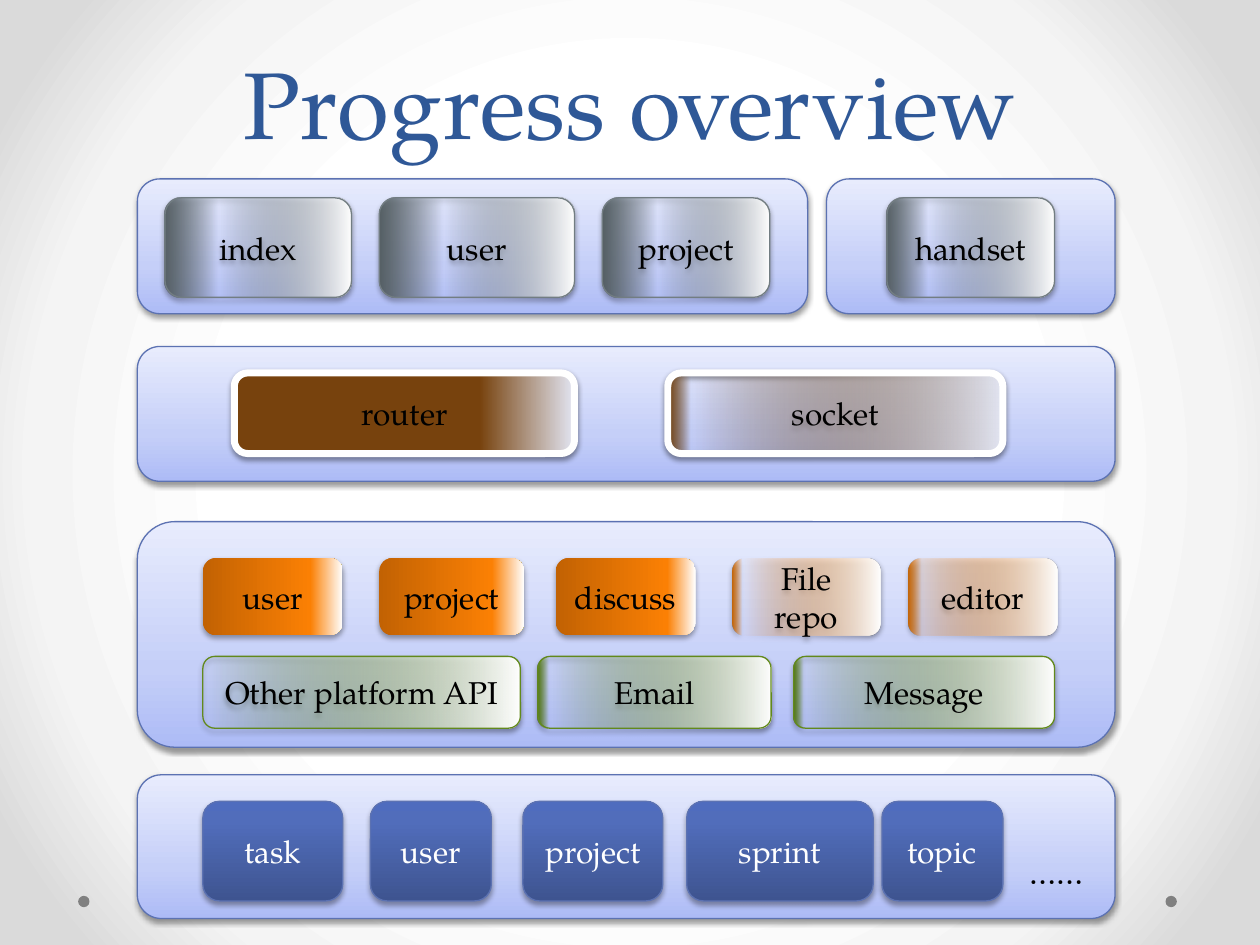
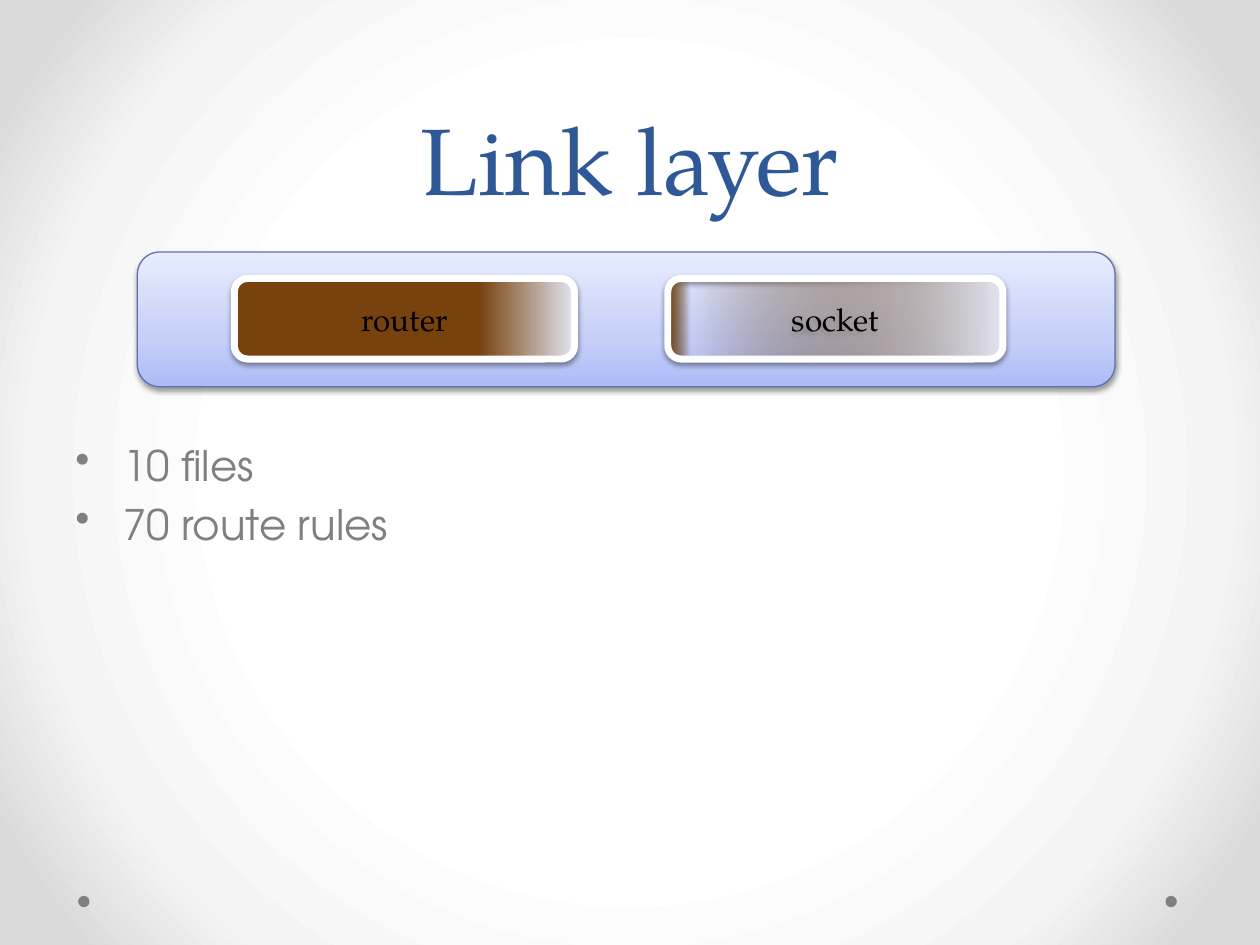
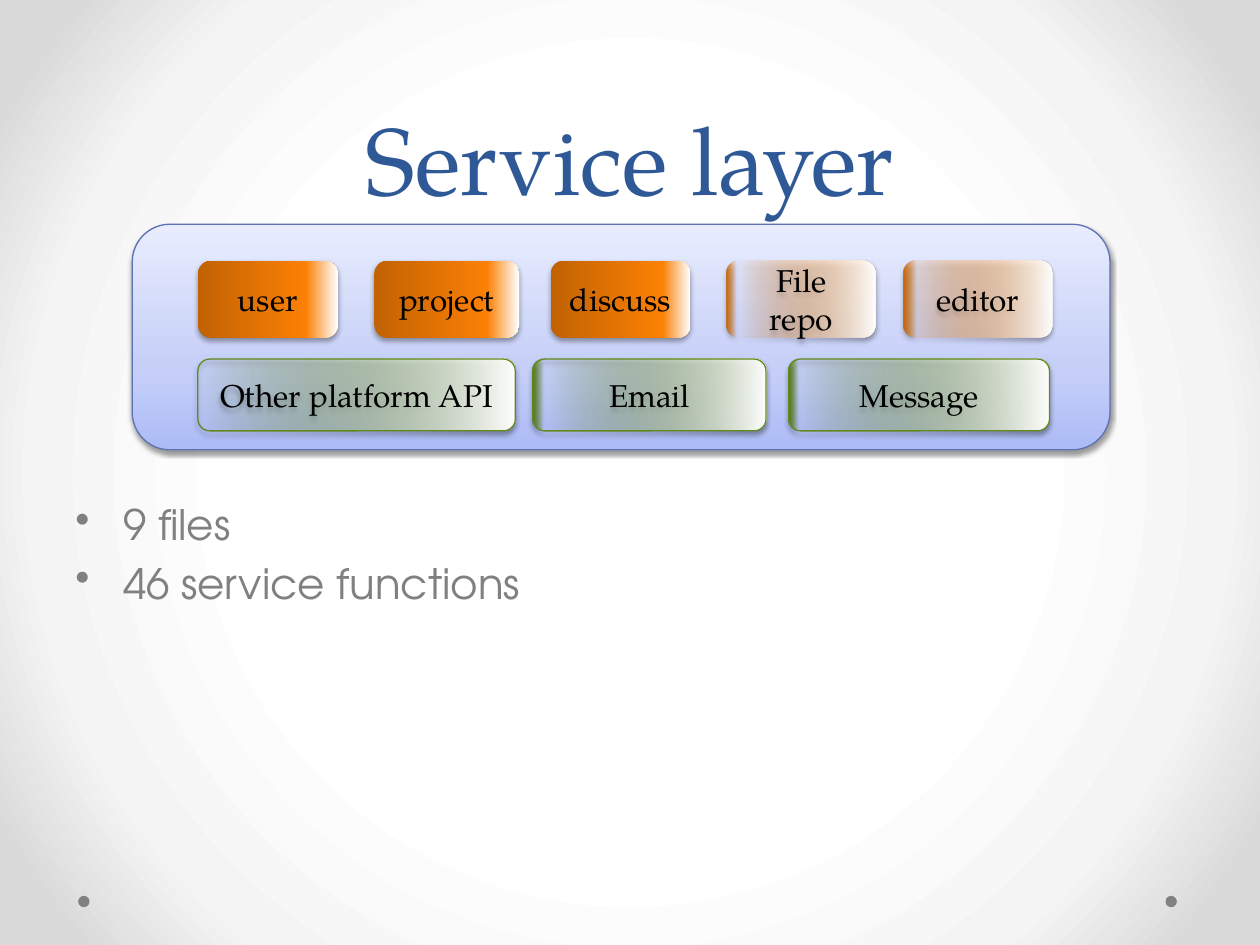
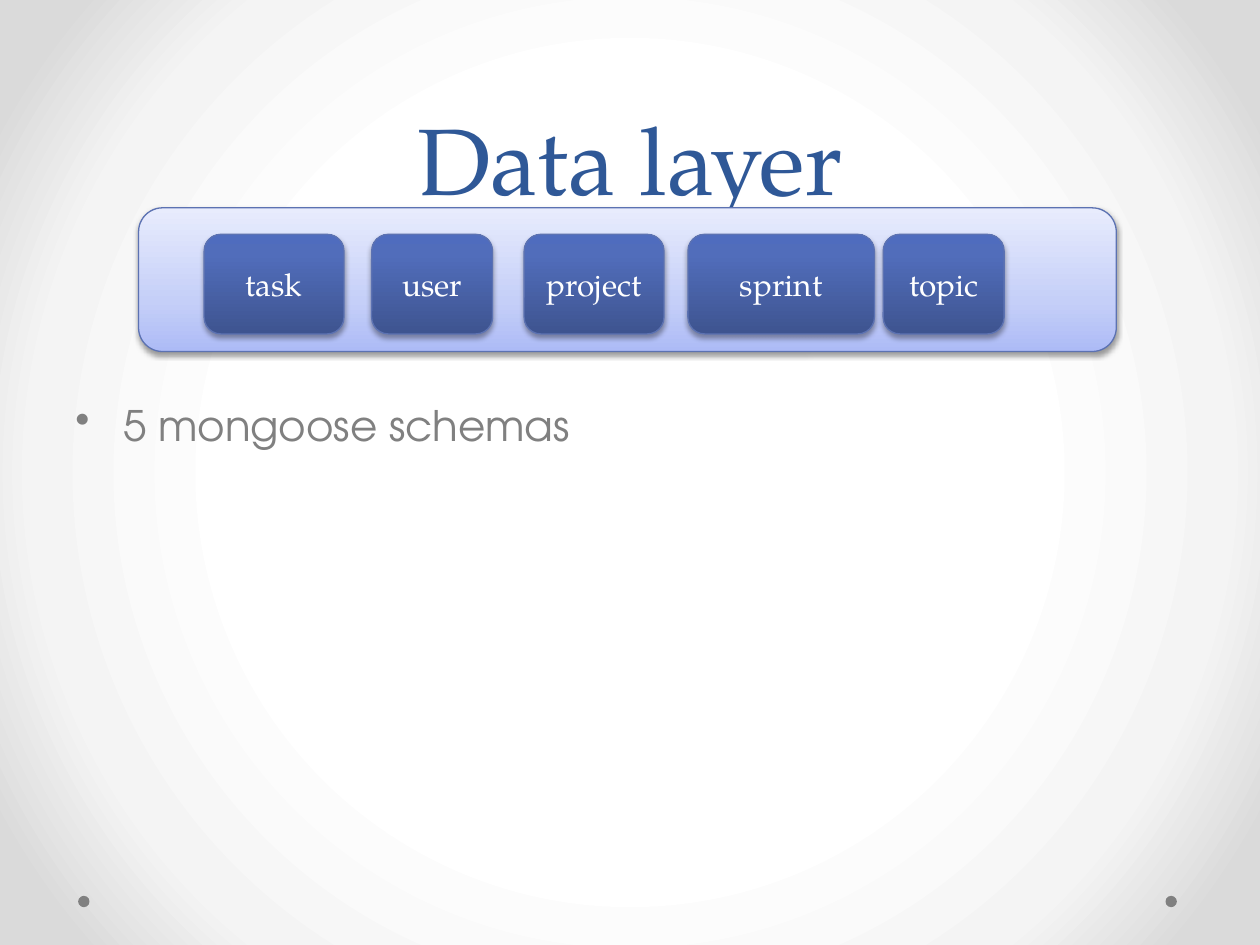
"""Build a four-slide progress deck of layered architecture diagrams."""
from dataclasses import dataclass
from typing import Optional

from pptx import Presentation
from pptx.dml.color import RGBColor
from pptx.enum.shapes import MSO_SHAPE as Preset
from pptx.enum.text import MSO_ANCHOR as Anchor, MSO_AUTO_SIZE as AutoSize, PP_ALIGN as Align
from pptx.oxml import parse_xml
from pptx.oxml.ns import nsdecls, qn
from pptx.util import Inches, Pt

WHITE = RGBColor(0xFF, 0xFF, 0xFF)
BLACK = RGBColor(0, 0, 0)
GRAY = RGBColor(0x80, 0x80, 0x80)
PAPER = RGBColor(0xF4, 0xF4, 0xF4)
EDGE = RGBColor(0xDA, 0xDA, 0xDA)
TITLE_BLUE = RGBColor(0x2F, 0x58, 0x97)
OUTLINE_BLUE = RGBColor(0x5C, 0x72, 0xB2)
PANEL_DARK = RGBColor(0xAD, 0xBB, 0xF6)
PANEL_MID = RGBColor(0xC5, 0xCF, 0xF8)
PANEL_LIGHT = RGBColor(0xE8, 0xEC, 0xFD)
STEEL_DARK = RGBColor(0x56, 0x60, 0x65)
STEEL = RGBColor(0x6F, 0x7D, 0x83)
STEEL_LINE = RGBColor(0x72, 0x7D, 0x82)
BROWN = RGBColor(0x77, 0x42, 0x0D)
PALE = RGBColor(0xE3, 0xE6, 0xF3)
ORANGE_DARK = RGBColor(0xC2, 0x62, 0x03)
ORANGE = RGBColor(0xFB, 0x80, 0x04)
GREEN_DARK = RGBColor(0x4D, 0x72, 0x0B)
GREEN = RGBColor(0x64, 0x94, 0x0F)
GREEN_LINE = RGBColor(0x62, 0x89, 0x1C)
NAVY = RGBColor(0x3E, 0x54, 0x90)
BLUE = RGBColor(0x51, 0x6D, 0xBB)
BLUE_TOP = RGBColor(0x4F, 0x6C, 0xBE)

SERIF = "TeX Gyre Pagella"
SANS = "TeX Gyre Adventor"
BLANK_LAYOUT = 6
PANEL_LEFT = 1.09
FULL_WIDTH = 7.76
SERVICE_STEP = 1.4

Stop = tuple[int, RGBColor, int]


@dataclass(frozen=True)
class Style:
    """Look shared by a family of rounded boxes."""
    start: RGBColor
    middle: RGBColor
    end: RGBColor
    line: Optional[RGBColor]
    angle: int = 0
    line_width: float = 0.75
    text: RGBColor = BLACK
    shadow_alpha: int = 35
    shadow_distance: float = 1.8


@dataclass(frozen=True)
class Box:
    """Module box, placed from the left edge of its panel."""
    text: str
    left: float
    width: float
    middle: int = 80
    opacity: int = 100


@dataclass(frozen=True)
class Row:
    """Line of boxes, placed from the top edge of its panel."""
    top: float
    height: float
    style: Style
    boxes: tuple[Box, ...]


@dataclass(frozen=True)
class Layer:
    """Panel that holds rows of boxes."""
    width: float
    height: float
    rows: tuple[Row, ...]


@dataclass(frozen=True)
class Detail:
    """Slide that shows one layer above a bullet list."""
    title: str
    layer: Layer
    left: float
    top: float
    bullets_top: float
    bullets: tuple[str, ...]


PANEL = Style(PANEL_DARK, PANEL_MID, PANEL_LIGHT, OUTLINE_BLUE, 270,
              shadow_alpha=38, shadow_distance=1.6)
PAGE = Style(STEEL_DARK, STEEL, WHITE, STEEL_LINE)
LINK = Style(BROWN, BROWN, PALE, WHITE, line_width=4, shadow_alpha=38, shadow_distance=1.6)
SERVICE = Style(ORANGE_DARK, ORANGE, WHITE, None)
PLATFORM = Style(GREEN_DARK, GREEN, WHITE, GREEN_LINE)
DATA = Style(NAVY, BLUE, BLUE_TOP, OUTLINE_BLUE, 270, text=WHITE)

WEB_LAYER = Layer(5.32, 1.07, (Row(0.15, 0.79, PAGE, (
    Box("index", 0.22, 1.48, 29, 0),
    Box("user", 1.92, 1.55, 33, 0),
    Box("project", 3.69, 1.33, 33, 0))),))
MOBILE_LAYER = Layer(2.29, 1.07, (Row(0.15, 0.79, PAGE, (
    Box("handset", 0.48, 1.33, 25, 0),)),))
LINK_LAYER = Layer(FULL_WIDTH, 1.07, (Row(0.21, 0.64, LINK, (
    Box("router", 0.77, 2.7, 72),
    Box("socket", 4.21, 2.66, 7, 0))),))
SERVICE_BOXES = (("user", 1.11, 77, 100), ("project", 1.15, 78, 100), ("discuss", 1.11, 80, 100),
                 ("File repo", 1.18, 7, 0), ("editor", 1.18, 9, 11))
SERVICE_LAYER = Layer(FULL_WIDTH, 1.79, (
    Row(0.29, 0.61, SERVICE, tuple(
        Box(text, 0.52 + index * SERVICE_STEP, width, middle, opacity)
        for index, (text, width, middle, opacity) in enumerate(SERVICE_BOXES))),
    Row(1.07, 0.57, PLATFORM, (
        Box("Other platform API", 0.52, 2.52, 0, 0),
        Box("Email", 3.18, 1.85, 5, 0),
        Box("Message", 5.21, 2.07, 4, 2)))))
DATA_LAYER = Layer(FULL_WIDTH, 1.14, (Row(0.21, 0.79, DATA, (
    Box("task", 0.52, 1.11),
    Box("user", 1.85, 0.96),
    Box("project", 3.06, 1.11),
    Box("sprint", 4.36, 1.48),
    Box("topic", 5.91, 0.96))),))

OVERVIEW = ((WEB_LAYER, PANEL_LEFT, 1.42), (MOBILE_LAYER, 6.56, 1.42),
            (LINK_LAYER, PANEL_LEFT, 2.75), (SERVICE_LAYER, PANEL_LEFT, 4.14),
            (DATA_LAYER, PANEL_LEFT, 6.15))
DETAILS = (
    Detail("Link layer", LINK_LAYER, 1.09, 2, 3.44, ("10 files", "70 route rules")),
    Detail("Service layer", SERVICE_LAYER, 1.05, 1.78, 3.91, ("9 files", "46 service functions")),
    Detail("Data layer", DATA_LAYER, 1.1, 1.65, 3.12, ("5 mongoose schemas",)),
)


def set_gradient(owner, stops: tuple[Stop, ...], direction: str) -> None:
    """Replace the default gradient inside an element."""
    stop_xml = "".join(
        f'<a:gs pos="{position * 1000}"><a:srgbClr val="{color}">'
        f'<a:alpha val="{opacity * 1000}"/></a:srgbClr></a:gs>'
        for position, color, opacity in stops)
    default = next(owner.iter(qn("a:gradFill")))
    default.getparent().replace(default, parse_xml(
        f'<a:gradFill {nsdecls("a")} rotWithShape="1"><a:gsLst>{stop_xml}</a:gsLst>'
        f'{direction}</a:gradFill>'))


def set_background(master) -> None:
    """Give every slide the round white-to-gray background."""
    master.background.fill.gradient()
    set_gradient(master.element, ((50, WHITE, 100), (76, PAPER, 100), (92, EDGE, 100)),
                 '<a:path path="circle"><a:fillToRect l="50000" t="50000" r="50000" b="50000"/>'
                 '</a:path>')


def set_font(paragraph, name: str, size: int, color: RGBColor) -> None:
    """Set the font of a whole paragraph."""
    paragraph.font.name = name
    paragraph.font.size = Pt(size)
    paragraph.font.color.rgb = color


def add_text(slide, left: float, top: float, width: float, height: float):
    """Add a wrapping text box and return its text frame."""
    frame = slide.shapes.add_textbox(
        Inches(left), Inches(top), Inches(width), Inches(height)).text_frame
    frame.word_wrap = True
    return frame


def add_rounded(slide, left: float, top: float, width: float, height: float,
                style: Style, middle: int, opacity: int = 100):
    """Add a rounded box with gradient, outline and soft shadow."""
    shape = slide.shapes.add_shape(
        Preset.ROUNDED_RECTANGLE, Inches(left), Inches(top), Inches(width), Inches(height))
    shape.fill.gradient()
    properties = shape.element.spPr
    set_gradient(properties,
                 ((0, style.start, 100), (middle, style.middle, opacity), (100, style.end, 100)),
                 f'<a:lin ang="{style.angle * 60000}" scaled="0"/>')
    if style.line is None:
        shape.line.fill.background()
    else:
        shape.line.color.rgb = style.line
        shape.line.width = Pt(style.line_width)
    shape.shadow.inherit = False
    properties.find(qn("a:effectLst")).append(parse_xml(
        f'<a:outerShdw {nsdecls("a")} blurRad="{Pt(3.1)}" dist="{Pt(style.shadow_distance)}" '
        f'dir="5400000" rotWithShape="0"><a:srgbClr val="{BLACK}">'
        f'<a:alpha val="{style.shadow_alpha * 1000}"/></a:srgbClr></a:outerShdw>'))
    return shape


def add_layer(slide, layer: Layer, left: float, top: float) -> None:
    """Draw a panel and all of its boxes."""
    add_rounded(slide, left, top, layer.width, layer.height, PANEL, 35)
    for row in layer.rows:
        for box in row.boxes:
            shape = add_rounded(slide, left + box.left, top + row.top, box.width, row.height,
                                row.style, box.middle, box.opacity)
            frame = shape.text_frame
            frame.text = box.text
            frame.vertical_anchor = Anchor.MIDDLE
            paragraph = frame.paragraphs[0]
            paragraph.alignment = Align.CENTER
            set_font(paragraph, SERIF, 18, row.style.text)


def add_bullets(slide, top: float, bullets: tuple[str, ...]) -> None:
    """Add the bullet list that fills the lower part of a slide."""
    frame = add_text(slide, 0.5, top, 9, 6.7 - top)
    frame.text = "\n".join(bullets)
    for paragraph in frame.paragraphs:
        properties = paragraph._p.get_or_add_pPr()
        properties.set("marL", str(Inches(0.38)))
        properties.set("indent", str(-Inches(0.38)))
        properties.append(parse_xml(
            f'<a:spcBef {nsdecls("a")}><a:spcPct val="20000"/></a:spcBef>'))
        properties.append(parse_xml(f'<a:buChar {nsdecls("a")} char="•"/>'))
        set_font(paragraph, SANS, 24, GRAY)


def add_titled_slide(presentation, title: str, title_height: float):
    """Add a slide with the two corner dots and its title."""
    slide = presentation.slides.add_slide(presentation.slide_layouts[BLANK_LAYOUT])
    for left in (9.25, 0.62):
        dot = slide.shapes.add_shape(
            Preset.OVAL, Inches(left), Inches(7.11), Inches(0.09), Inches(0.09))
        dot.fill.solid()
        dot.fill.fore_color.rgb = GRAY
        dot.line.fill.background()
        dot.shadow.inherit = False
    frame = add_text(slide, 0.5, 0, 9, title_height)
    frame.text = title
    frame.vertical_anchor = Anchor.BOTTOM
    paragraph = frame.paragraphs[0]
    paragraph.alignment = Align.CENTER
    paragraph.line_spacing = Pt(58)
    set_font(paragraph, SERIF, 54, TITLE_BLUE)
    return slide


def add_overview(presentation) -> None:
    """Add the slide that stacks all layers."""
    slide = add_titled_slide(presentation, "Progress overview", 1.31)
    for layer, left, top in OVERVIEW:
        add_layer(slide, layer, left, top)
    frame = add_text(slide, 8.07, 6.72, 0.66, 0.37)
    frame.auto_size = AutoSize.SHAPE_TO_FIT_TEXT
    frame.text = "……"
    set_font(frame.paragraphs[0], SERIF, 18, BLACK)


def add_detail(presentation, detail: Detail) -> None:
    """Add a slide about a single layer."""
    slide = add_titled_slide(presentation, detail.title, 1.75)
    add_bullets(slide, detail.bullets_top, detail.bullets)
    add_layer(slide, detail.layer, detail.left, detail.top)


def main() -> None:
    """Build and save the deck."""
    presentation = Presentation()
    presentation.slide_width = Inches(10)
    presentation.slide_height = Inches(7.5)
    set_background(presentation.slide_master)
    add_overview(presentation)
    for detail in DETAILS:
        add_detail(presentation, detail)
    presentation.save("out.pptx")


main()
